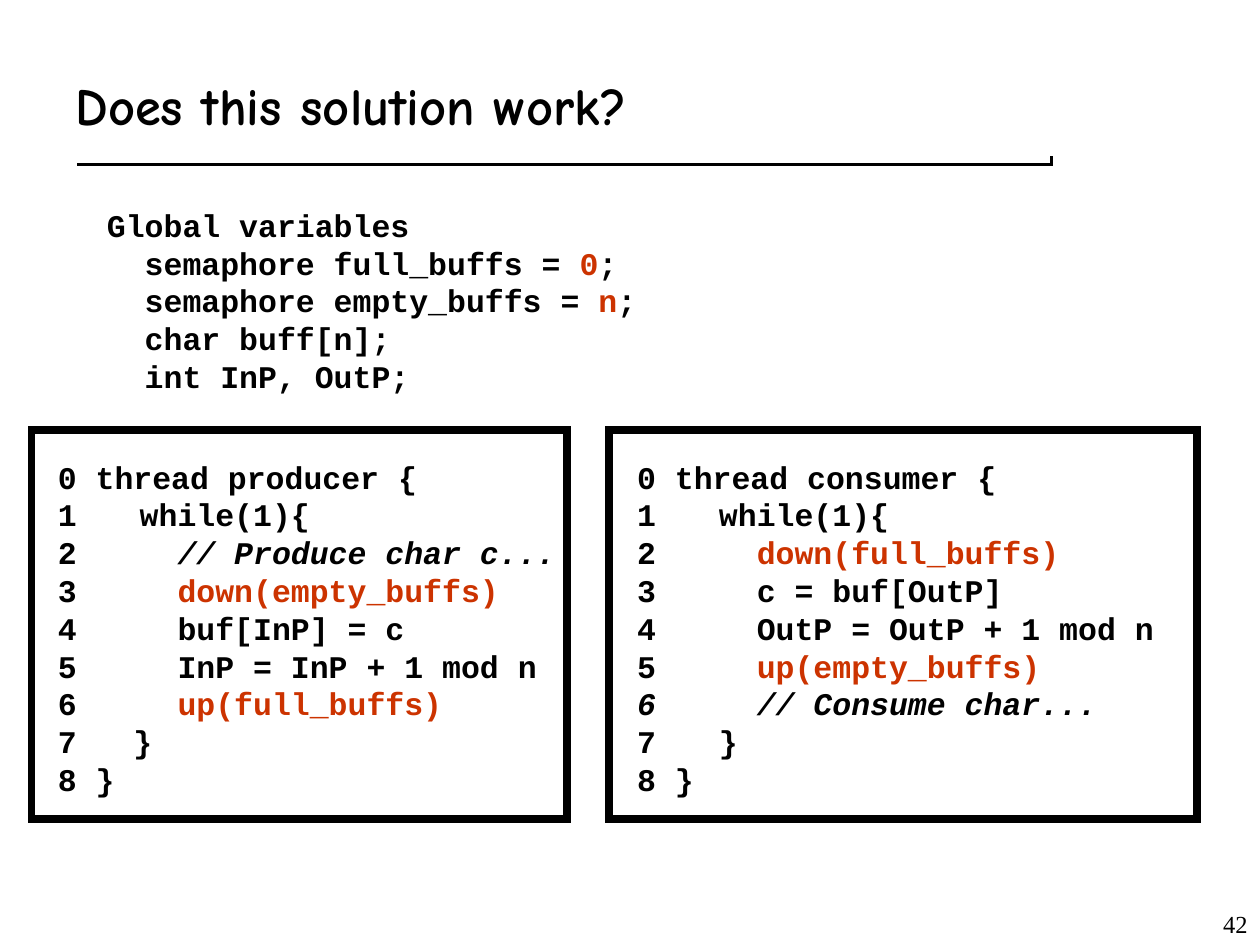
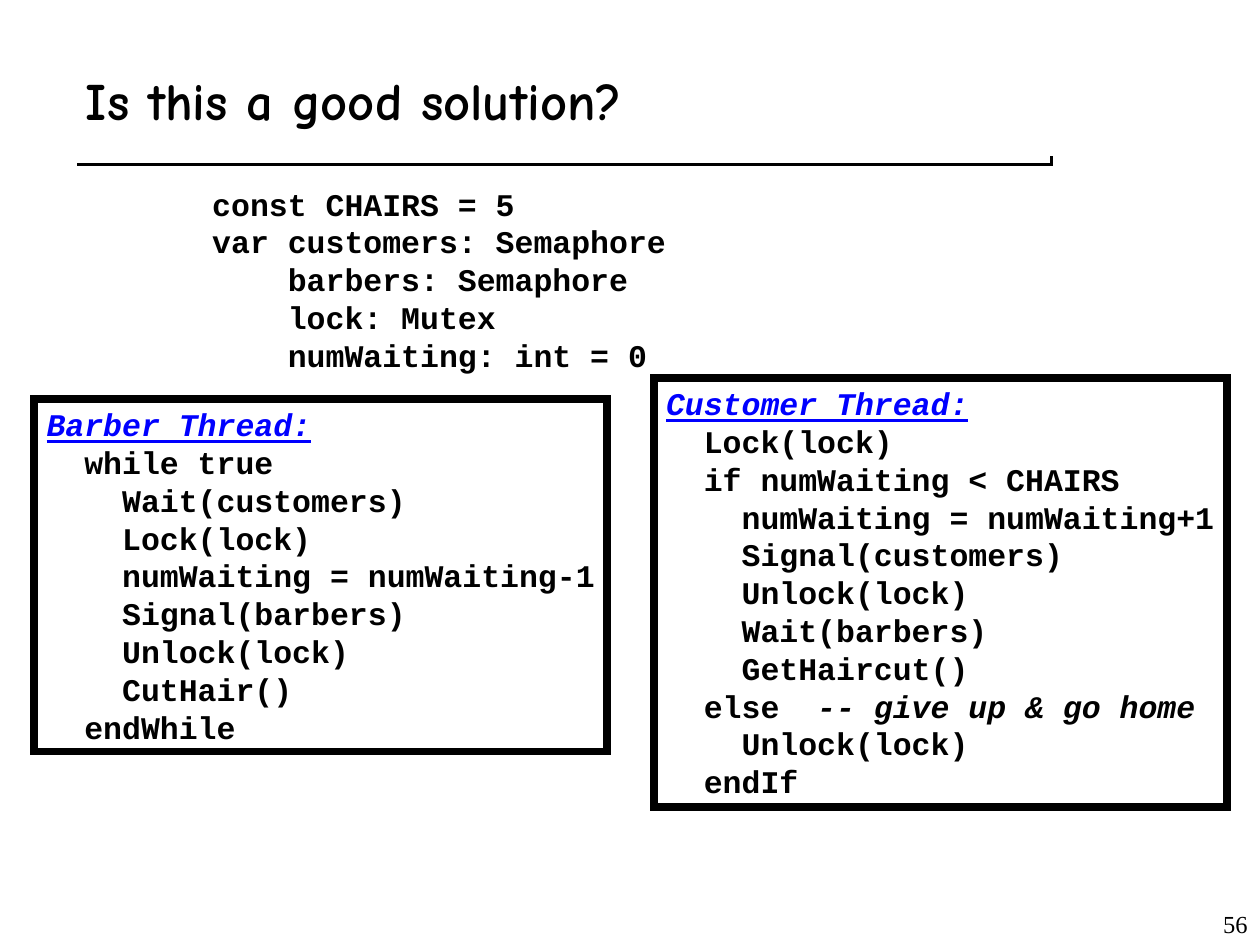
from lxml.etree import SubElement
from pptx import Presentation
from pptx.dml.color import RGBColor
from pptx.enum.shapes import MSO_CONNECTOR as Connector, MSO_SHAPE as Shape
from pptx.enum.text import MSO_ANCHOR as Anchor, MSO_AUTO_SIZE as AutoSize, PP_ALIGN as Align
from pptx.oxml.ns import qn
from pptx.util import Pt

BLACK = RGBColor(0x00, 0x00, 0x00)
WHITE = RGBColor(0xFF, 0xFF, 0xFF)
RED = RGBColor(0xCC, 0x33, 0x00)
BLUE = RGBColor(0x00, 0x00, 0xFF)

TITLE = {"name": "Comic Neue", "size": Pt(30), "bold": True, "color": BLACK}
CODE = {"name": "Courier New", "size": Pt(18), "bold": True, "color": BLACK}
PAGE_NUMBER = {"name": "Times New Roman", "size": Pt(14), "color": BLACK}
SEMAPHORE = CODE | {"color": RED}
COMMENT = CODE | {"italic": True}
HEADING = COMMENT | {"color": BLUE, "underline": True}

HANGING = Pt(36)

GLOBALS = [
    "Global variables",
    ["  semaphore full_buffs = ", ("0", SEMAPHORE), ";"],
    ["  semaphore empty_buffs = ", ("n", SEMAPHORE), ";"],
    "  char buff[n];",
    "  int InP, OutP;",
]
PRODUCER = [
    "0 thread producer {",
    " while(1){",
    ["   ", ("// Produce char c...", COMMENT)],
    ["   ", ("down(empty_buffs)", SEMAPHORE)],
    "   buf[InP] = c",
    "   InP = InP + 1 mod n",
    ["   ", ("up(full_buffs)", SEMAPHORE)],
    "7   }",
    "8 }",
]
CONSUMER = [
    "0 thread consumer {",
    " while(1){",
    ["   ", ("down(full_buffs)", SEMAPHORE)],
    "   c = buf[OutP]",
    "   OutP = OutP + 1 mod n",
    ["   ", ("up(empty_buffs)", SEMAPHORE)],
    [("   // Consume char...", COMMENT)],
    " }",
    "8 }",
]
DECLARATIONS = [
    "const CHAIRS = 5",
    "var customers: Semaphore",
    "    barbers: Semaphore",
    "    lock: Mutex",
    "    numWaiting: int = 0",
]
BARBER = [
    [("Barber Thread:", HEADING)],
    "  while true",
    "    Wait(customers)",
    "    Lock(lock)",
    "    numWaiting = numWaiting-1",
    "    Signal(barbers)",
    "    Unlock(lock)",
    "    CutHair()",
    "  endWhile",
]
CUSTOMER = [
    [("Customer Thread:", HEADING)],
    "  Lock(lock)",
    "  if numWaiting < CHAIRS",
    "    numWaiting = numWaiting+1",
    "    Signal(customers)",
    "    Unlock(lock)",
    "    Wait(barbers)",
    "    GetHaircut()",
    ["  else  ", ("-- give up & go home", COMMENT)],
    "    Unlock(lock)",
    "  endIf",
]


def points(box):
    return [Pt(length) for length in box]


def apply_format(font, values):
    for key, value in values.items():
        if key == "color":
            font.color.rgb = value
        else:
            setattr(font, key, value)


def number_paragraph(properties):
    color = SubElement(properties, qn("a:buClr"))
    SubElement(color, qn("a:srgbClr"), val=str(BLACK))
    SubElement(properties, qn("a:buAutoNum"), type="arabicPlain")


def write_lines(frame, lines, text_format=CODE, align=Align.LEFT, hanging=0, numbered=()):
    for index, line in enumerate(lines):
        paragraph = frame.paragraphs[0] if index == 0 else frame.add_paragraph()
        paragraph.alignment = align
        properties = paragraph._p.get_or_add_pPr()
        if hanging:
            properties.set("marL", str(hanging))
            properties.set("indent", str(-hanging))
        if index in numbered:
            number_paragraph(properties)
        for part in [line] if isinstance(line, str) else line:
            text, values = (part, text_format) if isinstance(part, str) else part
            run = paragraph.add_run()
            run.text = text
            apply_format(run.font, values)


def add_text(slide, box, lines, wrap=True, anchor=Anchor.TOP, **layout):
    frame = slide.shapes.add_textbox(*points(box)).text_frame
    frame.word_wrap = wrap
    frame.vertical_anchor = anchor
    write_lines(frame, lines, **layout)


def add_frame(slide, box):
    border = slide.shapes.add_shape(Shape.RECTANGLE, *points(box))
    border.shadow.inherit = False
    border.fill.background()
    border.line.color.rgb = BLACK
    border.line.width = Pt(4.5)
    SubElement(border.line._get_or_add_ln(), qn("a:miter"), lim="800000")
    return border


def add_title_rule(slide, left, top, width, offset):
    for shift, color in ((offset, BLACK), (0, WHITE)):
        x, y = left + shift, top + shift
        rule = slide.shapes.add_connector(
            Connector.STRAIGHT, *points((x, y, x + width, y)))
        rule.line.color.rgb = color
        rule.line.width = Pt(6)
        SubElement(rule._element.spPr, qn("a:effectLst"))


def add_base(prs, title, title_box, page):
    slide = prs.slides.add_slide(prs.slide_layouts[6])
    add_title_rule(slide, 42, 90, 558, 2)
    add_text(slide, (570, 504, 150, 36), [page], anchor=Anchor.BOTTOM,
             text_format=PAGE_NUMBER, align=Align.RIGHT)
    add_text(slide, title_box, [title], anchor=Anchor.MIDDLE, text_format=TITLE)
    return slide


def add_numbered_thread(slide, box, text_left, text_width, lines, numbered):
    left, top, _, height = box
    add_frame(slide, box)
    add_text(slide, (left + text_left, top + 12, text_width, height - 20), lines,
             hanging=HANGING, numbered=numbered)


def add_framed_thread(slide, box, lines):
    frame = add_frame(slide, box).text_frame
    frame.word_wrap = False
    frame.auto_size = AutoSize.SHAPE_TO_FIT_TEXT
    frame.vertical_anchor = Anchor.TOP
    write_lines(frame, lines)


def build_producer_consumer(prs):
    slide = add_base(prs, "Does this solution work?", (36, 24, 648, 72), "42")
    add_numbered_thread(slide, (18, 246, 306, 222), 8, 316, PRODUCER, range(1, 7))
    add_numbered_thread(slide, (348, 246, 336, 222), 9, 352, CONSUMER, range(1, 8))
    add_text(slide, (54, 114, 456, 115), GLOBALS, hanging=HANGING)


def build_sleeping_barber(prs):
    slide = add_base(prs, "Is this a good solution?", (42, 24, 612, 65.5), "56")
    add_framed_thread(slide, (19.5, 228, 327.5, 201.5), BARBER)
    add_framed_thread(slide, (373.5, 216, 327.5, 245), CUSTOMER)
    add_text(slide, (114.2, 102, 273.5, 115), DECLARATIONS, wrap=False)


def main():
    prs = Presentation()
    prs.slide_width, prs.slide_height = Pt(720), Pt(540)
    build_producer_consumer(prs)
    build_sleeping_barber(prs)
    prs.save("out.pptx")


if __name__ == "__main__":
    main()
